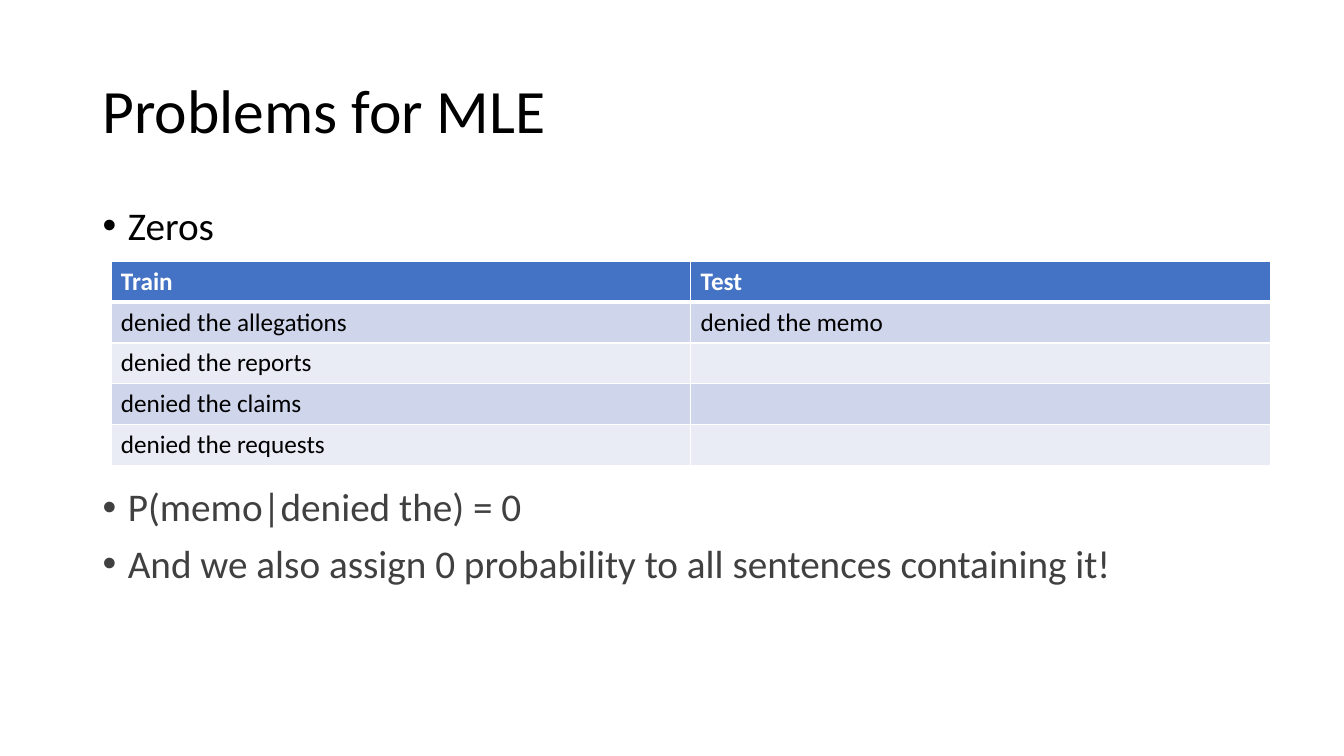
from dataclasses import dataclass

from lxml import etree
from pptx import Presentation
from pptx import util as u
from pptx.dml.color import RGBColor
from pptx.enum import text
from pptx.oxml import ns


@dataclass(frozen=True)
class Theme:
    font: str = "Calibri"
    title_size: int = 44
    body_size: int = 28
    table_size: int = 18
    ink: str = "000000"
    soft_ink: str = "404040"
    white: str = "FFFFFF"
    header_fill: str = "4472C4"
    bands: tuple = ("CFD5EA", "E9EBF5")
    rule: int = 1
    header_rule: int = 3


class SlideBuilder:
    def __init__(self, slide, theme):
        self.slide = slide
        self.theme = theme

    def style(self, paragraph, size, color, bold=False):
        font = paragraph.font
        font.name = self.theme.font
        font.size = u.Pt(size)
        font.bold = bold
        font.color.rgb = RGBColor.from_string(color)

    def frame(self, left, top, width, height, anchor):
        box = self.slide.shapes.add_textbox(*map(u.Inches, (left, top, width, height)))
        box.text_frame.word_wrap = True
        box.text_frame.vertical_anchor = anchor
        return box.text_frame

    def title(self, wording, *place):
        heading = self.frame(*place, text.MSO_ANCHOR.MIDDLE).paragraphs[0]
        heading.text = wording
        heading.line_spacing = 0.9
        self.style(heading, self.theme.title_size, self.theme.ink)

    def bullets(self, points, color, *place):
        frame = self.frame(*place, text.MSO_ANCHOR.TOP)
        for index, wording in enumerate(points):
            point = frame.add_paragraph() if index else frame.paragraphs[0]
            point.text = wording
            point.line_spacing = 0.9
            if index:
                point.space_before = u.Pt(10)
            props = point._p.get_or_add_pPr()
            props.set("marL", str(u.Inches(0.25)))
            props.set("indent", str(u.Inches(-0.25)))
            etree.SubElement(props, ns.qn("a:buFont"), typeface="Arial")
            etree.SubElement(props, ns.qn("a:buChar"), char="•")
            self.style(point, self.theme.body_size, color)

    def borders(self, cell, top, bottom):
        """Rule all four sides in white, with the top and bottom widths in points."""
        props = cell._tc.get_or_add_tcPr()
        rule = self.theme.rule
        for side, width in (("L", rule), ("R", rule), ("T", top), ("B", bottom)):
            line = etree.SubElement(props, ns.qn(f"a:ln{side}"), w=str(u.Pt(width)))
            fill = etree.SubElement(line, ns.qn("a:solidFill"))
            etree.SubElement(fill, ns.qn("a:srgbClr"), val=self.theme.white)

    def table(self, rows, left, top, width, height):
        theme = self.theme
        grid = self.slide.shapes.add_table(
            len(rows), len(rows[0]), *map(u.Inches, (left, top, width, height))
        ).table
        for r, row in enumerate(rows):
            header = r == 0
            fill = theme.header_fill if header else theme.bands[(r - 1) % 2]
            above = theme.header_rule if r == 1 else theme.rule
            below = theme.header_rule if header else theme.rule
            for c, wording in enumerate(row):
                cell = grid.cell(r, c)
                self.borders(cell, above, below)
                cell.fill.solid()
                cell.fill.fore_color.rgb = RGBColor.from_string(fill)
                cell.text = wording
                color = theme.white if header else theme.ink
                self.style(cell.text_frame.paragraphs[0], theme.table_size, color, header)


def main():
    deck = Presentation()
    deck.slide_width = u.Inches(13.33)
    deck.slide_height = u.Inches(7.5)
    theme = Theme()
    page = SlideBuilder(deck.slides.add_slide(deck.slide_layouts[6]), theme)

    page.title("Problems for MLE", 0.92, 0.4, 11.5, 1.45)
    page.bullets(["Zeros"], theme.ink, 0.92, 2, 11.5, 0.55)
    page.bullets(
        [
            "P(memo|denied the) = 0",
            "And we also assign 0 probability to all sentences containing it!",
        ],
        theme.soft_ink, 0.92, 4.79, 11.5, 1.97,
    )
    page.table(
        [
            ("Train", "Test"),
            ("denied the allegations", "denied the memo"),
            ("denied the reports", ""),
            ("denied the claims", ""),
            ("denied the requests", ""),
        ],
        1.1, 2.59, 11.5, 2.03,
    )
    deck.save("out.pptx")


if __name__ == "__main__":
    main()
